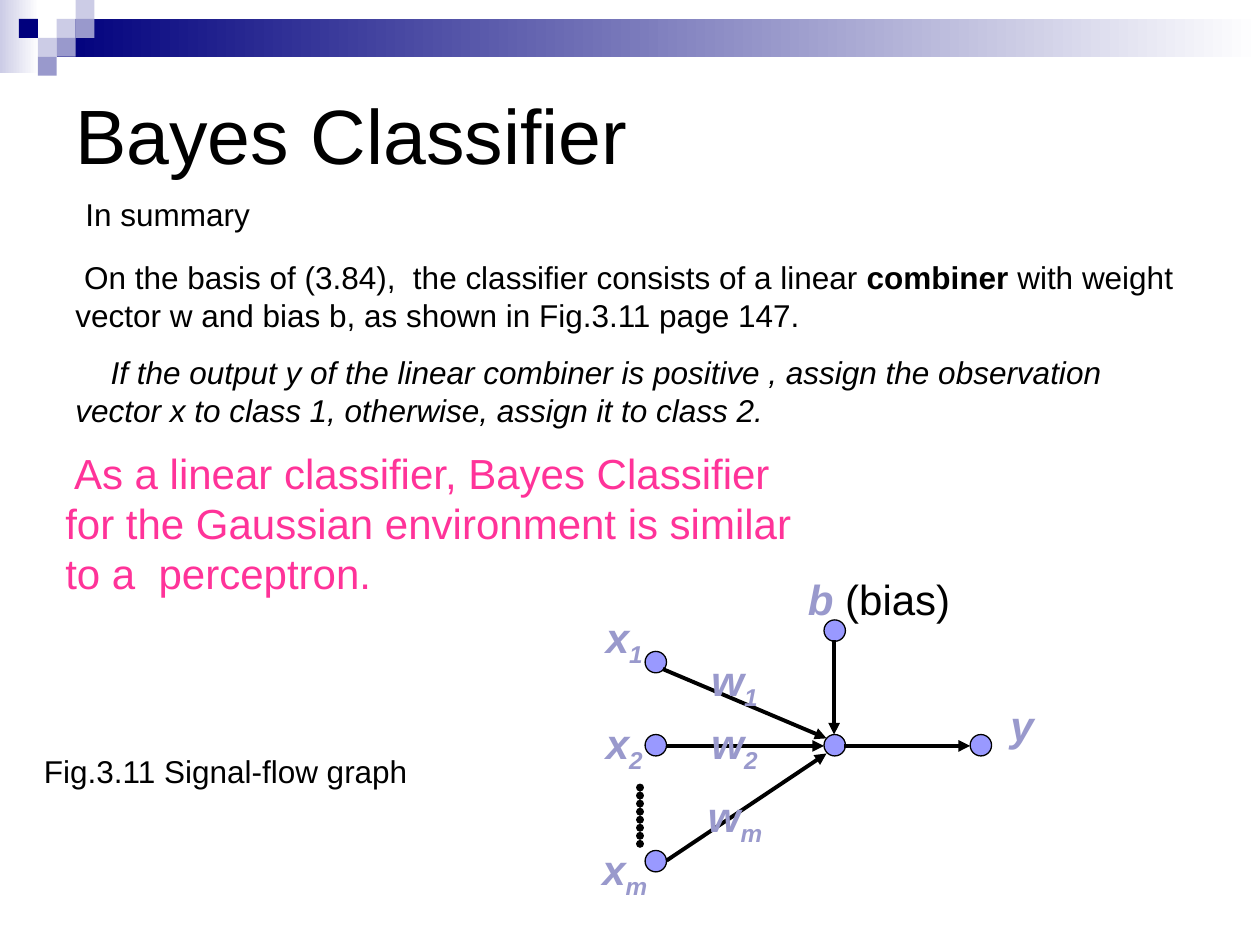
"""Build the Bayes Classifier slide with its signal-flow graph."""
from dataclasses import dataclass

from lxml import etree
from pptx import Presentation
from pptx.dml.color import RGBColor
from pptx.enum.shapes import MSO_CONNECTOR, MSO_SHAPE
from pptx.enum.text import MSO_ANCHOR, PP_ALIGN
from pptx.oxml.ns import qn
from pptx.shapes.autoshape import Shape
from pptx.shapes.connector import Connector
from pptx.slide import Slide
from pptx.util import Inches, Pt

RECTANGLE, OVAL = MSO_SHAPE.RECTANGLE, MSO_SHAPE.OVAL
STRAIGHT = MSO_CONNECTOR.STRAIGHT
TOP, MIDDLE = MSO_ANCHOR.TOP, MSO_ANCHOR.MIDDLE
LEFT, CENTER = PP_ALIGN.LEFT, PP_ALIGN.CENTER

COLORS = {
    "black": "000000", "white": "FFFFFF", "navy": "00007D", "pale": "CCCCE6",
    "lavender": "9999CC", "node": "9999FF", "pink": "FF3399",
}
TILE = 0.15
NODE = 0.17
BODY = {"size": Pt(18), "color": "black"}
BOLD = BODY | {"bold": True}
ITALIC = BODY | {"italic": True}
TITLE = {"size": Pt(44), "color": "black"}
REMARK = {"size": Pt(24), "color": "pink"}
BIAS = {"size": Pt(24), "color": "black"}
SYMBOL = {"size": Pt(24), "color": "lavender", "bold": True, "italic": True}


@dataclass
class Box:
    left: float
    top: float
    width: float
    height: float


@dataclass
class Run:
    text: str
    style: dict
    subscript: bool = False


@dataclass
class TextBlock:
    box: Box
    paragraphs: list[list[Run]]
    anchor: MSO_ANCHOR = TOP
    align: PP_ALIGN = LEFT
    wrap: bool = True
    last_indent: float = 0


@dataclass
class Label:
    box: Box
    symbol: str
    index: str


@dataclass
class Arrow:
    start: tuple[float, float]
    end: tuple[float, float]


TILES = [
    (3, 1, "pale"), (4, 0, "pale"), (4, 1, "lavender"), (2, 2, "pale"),
    (1, 1, "navy"), (3, 2, "lavender"), (2, 3, "lavender"),
]
BANDS = [(Box(0, 0, 0.31, 0.58), "pale"), (Box(0.45, 0.15, 9.55, 0.3), "navy")]
TEXTS = [
    TextBlock(Box(0.5, 0.5, 9, 1.12), [[Run("Bayes Classifier", TITLE)]], MIDDLE),
    TextBlock(Box(0.58, 1.5, 3.75, 0.4), [[Run("In summary", BODY)]]),
    TextBlock(Box(0.5, 2, 8.92, 1.46), [
        [Run(" On the basis of (3.84),  the classifier consists of a linear", BODY),
         Run(" combiner", BOLD),
         Run(" with weight vector w and bias b, as shown in Fig.3.11 page 147.", BODY)],
        [Run("If the output y of the linear combiner is positive , assign the observation "
             "vector x to class 1, otherwise, assign it to class 2.", ITALIC)],
    ], last_indent=0.28),
    TextBlock(Box(0.42, 3.5, 6.08, 1.3), [
        [Run(" ", BODY),
         Run("As a linear classifier, Bayes Classifier for the Gaussian environment "
             "is similar to a  perceptron.", REMARK)],
    ]),
    TextBlock(Box(0.25, 5.92, 3.42, 0.4), [[Run("Fig.3.11 Signal-flow graph", BODY)]]),
    TextBlock(Box(6.22, 4.5, 1.42, 0.5), [[Run(" b ", SYMBOL), Run("(bias)", BIAS)]],
              MIDDLE, CENTER, False),
    TextBlock(Box(7.92, 5.5, 0.38, 0.5), [[Run("y", SYMBOL)]], MIDDLE, CENTER, False),
]
NODES = [(5.12, 5.17), (5.12, 6.75), (5.12, 5.83), (6.54, 5.83), (6.54, 4.92), (7.7, 5.83)]
ARROWS = [
    Arrow((5.29, 6.83), (6.56, 5.98)), Arrow((5.29, 5.92), (6.54, 5.92)),
    Arrow((5.26, 5.31), (6.56, 5.86)), Arrow((6.62, 5.08), (6.62, 5.83)),
    Arrow((6.7, 5.92), (7.7, 5.92)),
]
LABELS = [
    Label(Box(4.69, 4.8, 0.53, 0.56), "x", "1"), Label(Box(4.69, 5.64, 0.53, 0.56), "x", "2"),
    Label(Box(4.66, 6.64, 0.6, 0.56), "x", "m"), Label(Box(5.53, 5.64, 0.6, 0.56), "w", "2"),
    Label(Box(5.53, 5.14, 0.6, 0.56), "w", "1"), Label(Box(5.5, 6.22, 0.67, 0.56), "w", "m"),
]


def rgb(name: str) -> RGBColor:
    """Look up a named colour."""
    return RGBColor.from_string(COLORS[name])


def lengths(box: Box) -> list[Inches]:
    """Convert a box to slide lengths."""
    return [Inches(value) for value in (box.left, box.top, box.width, box.height)]


def add_shape(slide: Slide, kind: MSO_SHAPE, box: Box, color: str) -> Shape:
    """Add a filled shape without outline or shadow."""
    shape = slide.shapes.add_shape(kind, *lengths(box))
    shape.shadow.inherit = False
    shape.fill.solid()
    shape.fill.fore_color.rgb = rgb(color)
    shape.line.fill.background()
    return shape


def add_band(slide: Slide, box: Box, color: str) -> None:
    """Add a band that fades to white on the right."""
    fill = add_shape(slide, RECTANGLE, box, color).fill
    fill.gradient()
    fill.gradient_angle = 180
    for stop, name in zip(fill.gradient_stops, ("white", color)):
        stop.color.rgb = rgb(name)


def add_node(slide: Slide, left: float, top: float) -> None:
    """Add an outlined graph node."""
    line = add_shape(slide, OVAL, Box(left, top, NODE, NODE), "node").line
    line.color.rgb = rgb("black")
    line.width = Pt(0.75)


def add_line(slide: Slide, arrow: Arrow, width: float) -> Connector:
    """Add a plain black line."""
    points = [Inches(value) for value in (*arrow.start, *arrow.end)]
    connector = slide.shapes.add_connector(STRAIGHT, *points)
    connector.line.color.rgb = rgb("black")
    connector.line.width = Pt(width)
    etree.SubElement(connector._element.spPr, qn("a:effectLst"))
    return connector


def add_arrow(slide: Slide, arrow: Arrow) -> None:
    """Add a line with a triangular head at its end."""
    outline = add_line(slide, arrow, 2.25).line._get_or_add_ln()
    etree.SubElement(outline, qn("a:tailEnd"), type="triangle")


def add_dots(slide: Slide, arrow: Arrow) -> None:
    """Add a line of touching round dots."""
    outline = add_line(slide, arrow, 4.5).line._get_or_add_ln()
    outline.set("cap", "rnd")
    dash = etree.SubElement(outline, qn("a:custDash"))
    etree.SubElement(dash, qn("a:ds"), d="100000", sp="2000")


def add_text(slide: Slide, block: TextBlock) -> None:
    """Add a text box with styled runs."""
    frame = slide.shapes.add_textbox(*lengths(block.box)).text_frame
    frame.word_wrap = block.wrap
    frame.vertical_anchor = block.anchor
    for number, runs in enumerate(block.paragraphs):
        paragraph = frame.add_paragraph() if number else frame.paragraphs[0]
        paragraph.alignment = block.align
        if number:
            paragraph.space_before = Pt(11.2)
            paragraph._p.get_or_add_pPr().set("indent", str(Inches(block.last_indent)))
        for item in runs:
            run = paragraph.add_run()
            run.text = item.text
            run.font.name = "Arial"
            for key, value in item.style.items():
                if key == "color":
                    run.font.color.rgb = rgb(value)
                else:
                    setattr(run.font, key, value)
            if item.subscript:
                run.font._element.set("baseline", "-25000")


def main() -> None:
    """Draw the slide and save it."""
    presentation = Presentation()
    presentation.slide_width, presentation.slide_height = Inches(10), Inches(7.5)
    slide = presentation.slides.add_slide(presentation.slide_layouts[6])
    for box, color in BANDS:
        add_band(slide, box, color)
    for column, row, color in TILES:
        add_shape(slide, RECTANGLE, Box(column * TILE, row * TILE, TILE, TILE), color)
    add_dots(slide, Arrow((5.08, 6.25), (5.08, 6.75)))
    for left, top in NODES:
        add_node(slide, left, top)
    for arrow in ARROWS:
        add_arrow(slide, arrow)
    for label in LABELS:
        runs = [Run(label.symbol, SYMBOL), Run(label.index, SYMBOL, True)]
        add_text(slide, TextBlock(label.box, [runs], MIDDLE, CENTER, False))
    for block in TEXTS:
        add_text(slide, block)
    presentation.save("out.pptx")


if __name__ == "__main__":
    main()
